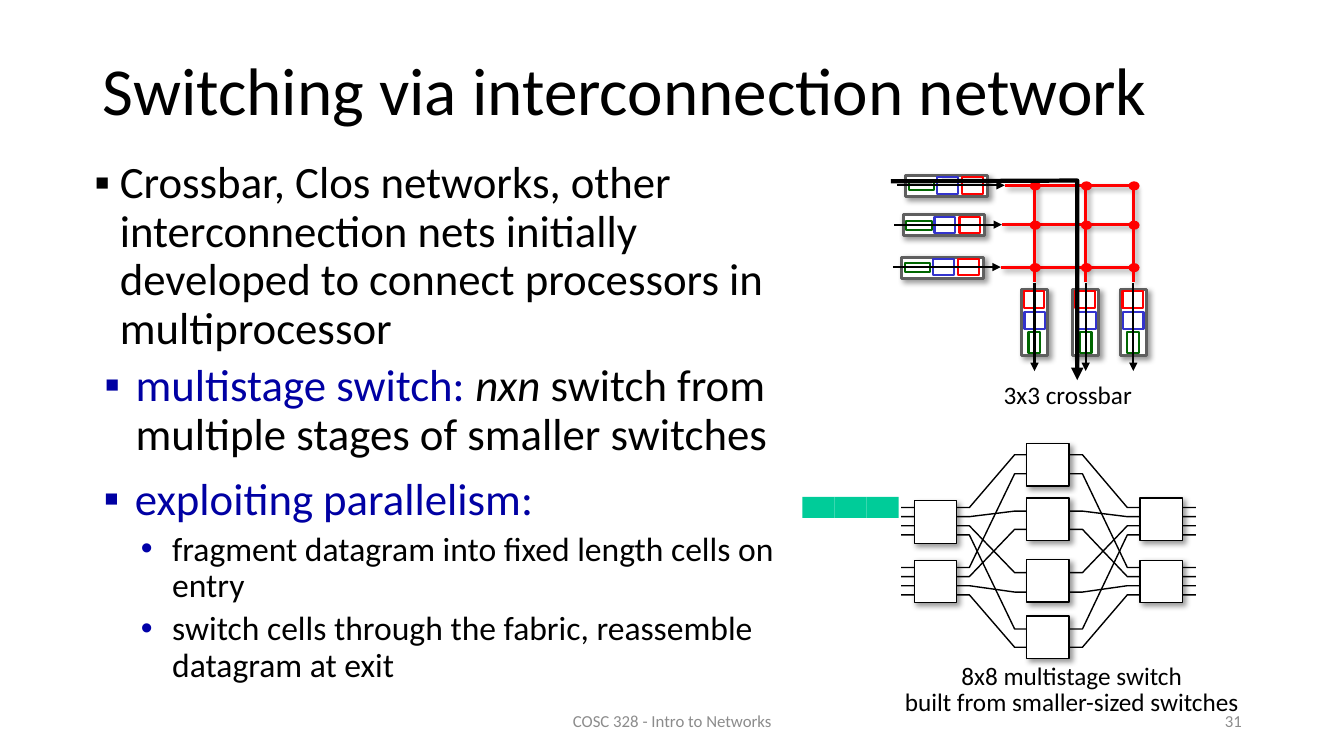
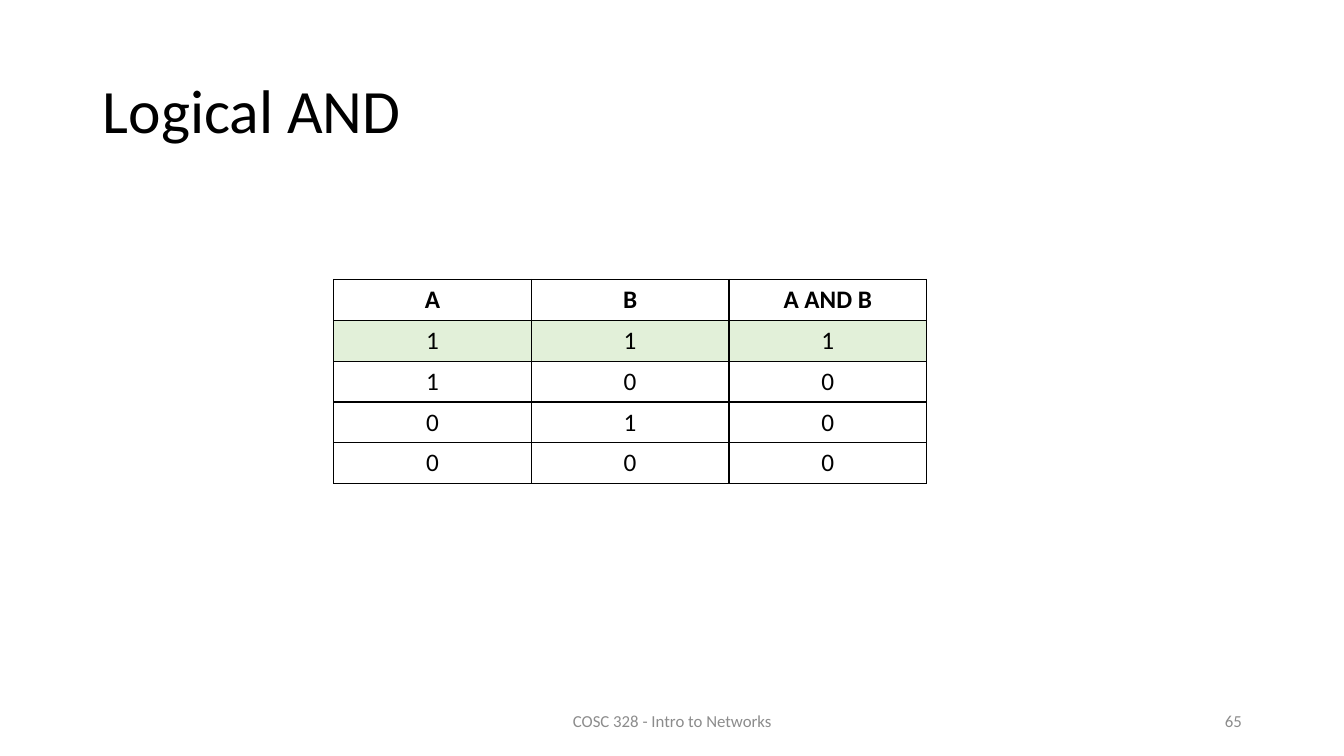
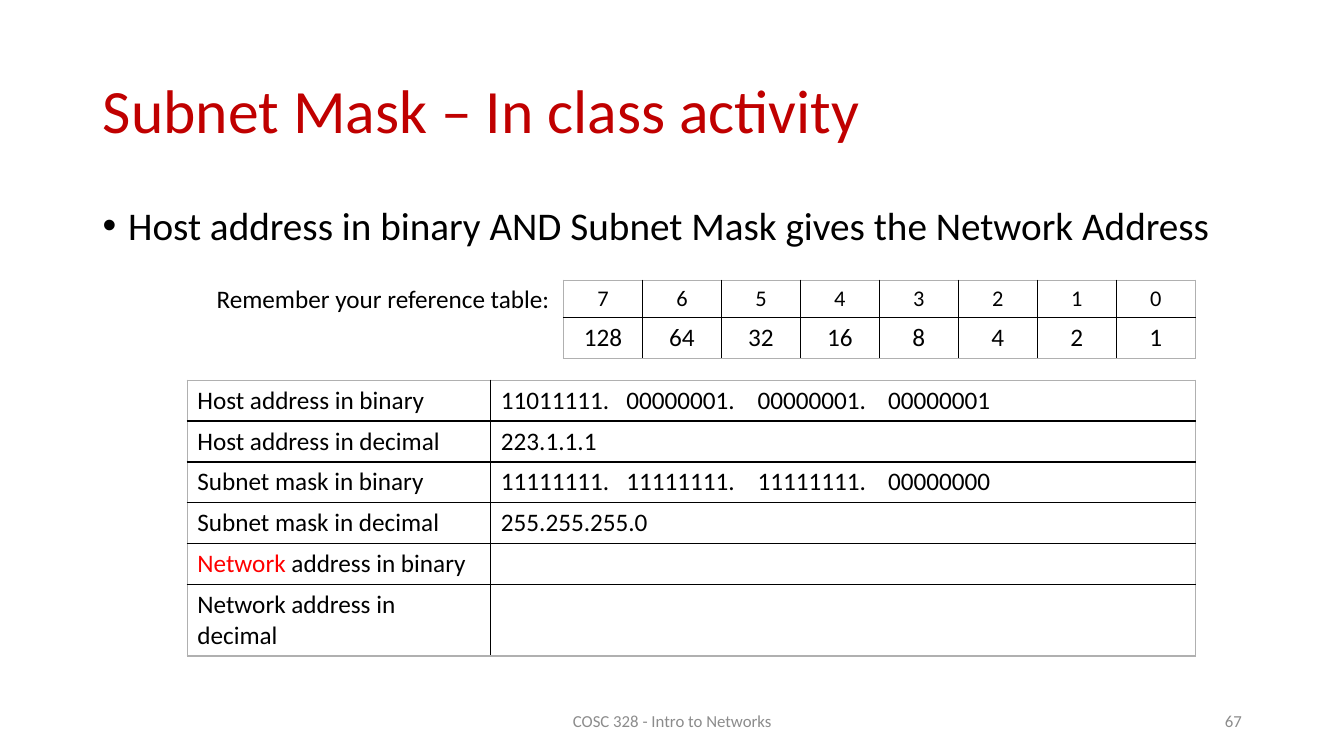
from pptx import Presentation
from pptx.dml.color import RGBColor
from pptx.enum.shapes import MSO_CONNECTOR, MSO_SHAPE
from pptx.enum.text import MSO_ANCHOR, PP_ALIGN
from pptx.oxml import parse_xml
from pptx.oxml.ns import nsdecls, qn
from pptx.util import Cm, Pt

RECTANGLE = MSO_SHAPE.RECTANGLE
ELLIPSE = MSO_SHAPE.OVAL
STRAIGHT = MSO_CONNECTOR.STRAIGHT
MIDDLE = MSO_ANCHOR.MIDDLE
TOP = MSO_ANCHOR.TOP
LEFT, CENTER, RIGHT = PP_ALIGN.LEFT, PP_ALIGN.CENTER, PP_ALIGN.RIGHT

FONT = "Calibri"
FOOTER = "COSC 328 - Intro to Networks"
TITLE_ONLY = 5
COLORS = {
    "black": "000000",
    "white": "FFFFFF",
    "footer": "8C8C8C",
    "frame": "5F5F5F",
    "green": "006600",
    "blue": "3333CC",
    "red": "FF0000",
    "navy": "0000A3",
    "sub_bullet": "0000A8",
    "cell": "00CC99",
    "activity": "C00000",
    "highlight": "E2F0D9",
    "outer_border": "B0B0B0",
}


def rgb(name):
    return RGBColor.from_string(COLORS[name])


def a_element(tag, attributes="", content=""):
    return parse_xml(f'<a:{tag} {nsdecls("a")} {attributes}>{content}</a:{tag}>')


def solid_fill(color):
    return f'<a:solidFill><a:srgbClr val="{COLORS[color]}"/></a:solidFill>'


# Text

def write_text(paragraph, text, size=18, color="black", bold=False, align=LEFT,
               spacing=None, before=0, bullet=None, bullet_color="black",
               margin=0, indent=0, tabs=()):
    """Fill a paragraph; text is a string or a list of (string, run format)."""
    properties = paragraph._p.get_or_add_pPr()
    if bullet:
        properties.set("marL", str(Cm(margin)))
        properties.set("indent", str(Cm(indent)))
        color_value = f'<a:srgbClr val="{COLORS[bullet_color]}"/>'
        properties.append(a_element("buClr", content=color_value))
        properties.append(a_element("buFont", 'typeface="Arial"'))
        properties.append(a_element("buChar", f'char="{bullet}"'))
    if tabs:
        stops = "".join(f'<a:tab pos="{Cm(stop)}" algn="l"/>' for stop in tabs)
        properties.append(a_element("tabLst", content=stops))
    paragraph.alignment = align
    paragraph.space_before = Pt(before)
    if spacing:
        paragraph.line_spacing = spacing
    runs = [(text, {})] if isinstance(text, str) else text
    for content, changes in runs:
        run = paragraph.add_run()
        run.text = content
        run.font.name = FONT
        run.font.size = Pt(size)
        run.font.bold = bold
        run.font.italic = changes.get("italic", False)
        run.font.color.rgb = rgb(changes.get("color", color))


def add_text(slide, box, paragraphs, anchor=TOP, wrap=True, **common):
    """Add a text box; paragraphs is a list of (text, paragraph format)."""
    frame = slide.shapes.add_textbox(*map(Cm, box)).text_frame
    frame.word_wrap = wrap
    frame.vertical_anchor = anchor
    for index, (text, changes) in enumerate(paragraphs):
        paragraph = frame.add_paragraph() if index else frame.paragraphs[0]
        write_text(paragraph, text, **{**common, **changes})


def add_slide(presentation, title, number, top=1.02, height=3.68, **title_format):
    """Add a slide with its title, footer and number."""
    slide = presentation.slides.add_slide(presentation.slide_layouts[TITLE_ONLY])
    shape = slide.shapes.title
    shape.left, shape.top = Cm(2.34), Cm(top)
    shape.width, shape.height = Cm(29.21), Cm(height)
    shape.text_frame.word_wrap = True
    shape.text_frame.vertical_anchor = MIDDLE
    write_text(shape.text_frame.paragraphs[0], title, spacing=0.9,
               **{"size": 44, **title_format})
    for text, left, width, align in ((FOOTER, 11.23, 11.43, CENTER),
                                     (str(number), 23.93, 7.62, RIGHT)):
        add_text(slide, (left, 17.65, width, 1.02), [(text, {})], anchor=MIDDLE,
                 size=12, color="footer", align=align)
    return slide


# Shapes and lines

def set_effects(shape, shadow):
    content = ""
    if shadow:
        content = ('<a:outerShdw blurRad="50800" dist="38100" dir="2700000" '
                   'algn="tl" rotWithShape="0"><a:srgbClr val="000000">'
                   '<a:alpha val="40000"/></a:srgbClr></a:outerShdw>')
    shape.element.spPr.append(a_element("effectLst", content=content))


def style_line(shape, color, width, arrow=False, shadow=False):
    shape.line.color.rgb = rgb(color)
    shape.line.width = Pt(width)
    if arrow:
        outline = shape.element.spPr.find(qn("a:ln"))
        outline.append(a_element("tailEnd", 'type="triangle"'))
    set_effects(shape, shadow)


def add_box(slide, box, line=None, width=1.5, fill="white", kind=RECTANGLE,
            shadow=False):
    shape = slide.shapes.add_shape(kind, *map(Cm, box))
    shape.fill.solid()
    shape.fill.fore_color.rgb = rgb(fill)
    if line:
        style_line(shape, line, width, shadow=shadow)
    else:
        shape.line.fill.background()
        set_effects(shape, shadow)


def add_line(slide, start, end, color="black", width=1.5, **style):
    connector = slide.shapes.add_connector(STRAIGHT, *map(Cm, (*start, *end)))
    style_line(connector, color, width, **style)


def add_path(slide, points, width, arrow=False):
    points = [(Cm(x), Cm(y)) for x, y in points]
    builder = slide.shapes.build_freeform(*points[0], scale=1.0)
    builder.add_line_segments(points[1:], close=False)
    shape = builder.convert_to_shape()
    shape.fill.background()
    style_line(shape, "black", width, arrow=arrow)


# Tables

def set_borders(cell, outer_sides, outer_color):
    properties = cell._tc.get_or_add_tcPr()
    for index, side in enumerate("LRTB"):
        color = outer_color if side in outer_sides else "black"
        properties.insert(index, a_element(
            f"ln{side}", 'w="12700"', solid_fill(color)))


def add_table(slide, left, top, widths, heights, rows, outer="black",
              formats=None, fills=None, **common):
    """Add a bordered table; formats and fills are given by row index."""
    table = slide.shapes.add_table(
        len(rows), len(widths), Cm(left), Cm(top),
        Cm(sum(widths)), Cm(sum(heights))).table
    table.first_row = table.horz_banding = False
    for column, width in zip(table.columns, widths):
        column.width = Cm(width)
    for row, height in zip(table.rows, heights):
        row.height = Cm(height)
    for i, texts in enumerate(rows):
        for j, text in enumerate(texts):
            cell = table.cell(i, j)
            cell.fill.solid()
            cell.fill.fore_color.rgb = rgb((fills or {}).get(i, "white"))
            sides = {"L": j == 0, "R": j == len(widths) - 1,
                     "T": i == 0, "B": i == len(rows) - 1}
            set_borders(cell, [side for side in sides if sides[side]], outer)
            if text:
                write_text(cell.text_frame.paragraphs[0], text,
                           **{**common, **(formats or {}).get(i, {})})


# Switch diagrams

def add_queue(slide, frame, packets, arrow):
    add_box(slide, frame, "frame", 2.25, shadow=True)
    for color, packet in zip(("green", "blue", "red"), packets):
        add_box(slide, packet, color)
    add_line(slide, *arrow, arrow=True)


def add_input_queue(slide, x, y):
    packets = ((x + 0.08, y + 0.15, 0.64, 0.23),
               (x + 0.79, y + 0.05, 0.53, 0.41),
               (x + 1.42, y + 0.05, 0.53, 0.41))
    add_queue(slide, (x, y, 2.06, 0.53), packets,
              ((x - 0.23, y + 0.25), (x + 2.49, y + 0.25)))


def add_output_queue(slide, center, y):
    packets = ((center - 0.15, y + 1.08, 0.3, 0.53),
               (center - 0.25, y + 0.57, 0.51, 0.43),
               (center - 0.27, y + 0.05, 0.51, 0.43))
    add_queue(slide, (center - 0.33, y, 0.66, 1.68), packets,
              ((center, y - 0.15), (center, y + 2.06)))


def add_crossbar(slide):
    inputs = ((22.83, 4.42), (22.76, 5.41), (22.73, 6.48))
    columns = (26.07, 27.36, 28.56)
    for x, y in inputs:
        add_input_queue(slide, x, y)
    for x in reversed(columns):
        add_output_queue(slide, x, 7.29)
    bus = {"color": "red", "width": 2.25, "shadow": True}
    for x, y in inputs:
        add_line(slide, (x + 2.49, y + 0.25), (columns[-1], y + 0.25), **bus)
    for x in columns:
        add_line(slide, (x, 7.11), (x, 4.67), **bus)
    for x in columns:
        for _, y in inputs:
            add_box(slide, (x - 0.12, y + 0.15, 0.28, 0.23), fill="red",
                    kind=ELLIPSE)
    # Route of one packet
    add_path(slide, ((22.45, 4.57), (27.15, 4.55), (27.15, 9.58)), 3, arrow=True)


def add_multistage_switch(slide):
    bends = (22.71, 24.43, 25.57, 27.28, 28.41, 30.14)
    # First port height of each outer switch, and the middle port of each wire
    wires = ((12.79, (11.46, 12.88, 14.43, 15.85)),
             (14.3, (11.94, 13.34, 14.92, 16.31)))
    for first_port, middles in wires:
        for index, middle in enumerate(middles):
            port = first_port + 0.23 * index
            heights = (port, port, middle, middle, port, port)
            add_path(slide, list(zip(bends, heights)), 1)
    stages = ((23.04, (12.62, 14.12)),
              (25.87, (11.18, 12.55, 14.1, 15.52)),
              (28.73, (12.55, 14.12)))
    for x, tops in stages:
        for y in tops:
            add_box(slide, (x, y, 1.07, 1.07), "black", 1, shadow=True)


# Slides

def build_switching(presentation):
    slide = add_slide(presentation, "Switching via interconnection network", 31,
                      top=1.12, height=2.49, size=48)
    point = {"size": 32, "spacing": 0.9, "bullet": "▪", "indent": -0.79}
    blue_point = {**point, "color": "navy", "bullet_color": "navy", "margin": 0.99}
    detail = {"size": 24, "color": "black", "bullet": "•", "margin": 1.93,
              "bullet_color": "sub_bullet", "before": 5}
    add_text(slide, (2.13, 3.91, 17.98, 5), [
        ("Crossbar, Clos networks, other interconnection nets initially "
         "developed to connect processors in multiprocessor", {})],
        margin=0.64, **point)
    add_crossbar(slide)
    add_multistage_switch(slide)
    add_text(slide, (2.18, 9.02, 17.98, 3.05), [
        ([("multistage switch: ", {}),
          ("nxn", {"italic": True, "color": "black"}),
          (" switch from multiple stages of smaller switches",
           {"color": "black"})], {})], **blue_point)
    add_text(slide, (2.16, 11.89, 17.98, 5.89), [
        ("exploiting parallelism:", {}),
        ("fragment datagram into fixed length cells on entry", detail),
        ("switch cells through the fabric, reassemble datagram at exit", detail)],
        **blue_point)
    # Captions
    caption = {"wrap": False, "align": CENTER, "spacing": 0.85}
    add_text(slide, (25.02, 9.55, 3.78, 0.91), [("3x3 crossbar", {})], **caption)
    add_text(slide, (22.5, 16.64, 9.02, 1.57), [
        ("8x8 multistage switch", {}),
        ("built from smaller-sized switches", {})], **caption)
    # Datagram split into cells
    for index in range(3):
        add_box(slide, (20.22 + 0.81 * index, 12.52, 0.81, 0.53), fill="cell")


def build_logical_and(presentation):
    slide = add_slide(presentation, "Logical AND", 65)
    rows = [("A", "B", "A AND B"), "111", "100", "010", "000"]
    add_table(slide, 8.41, 7.04, [4.98] * 3, [1.03] * 5, rows, align=CENTER,
              formats={0: {"bold": True}}, fills={1: "highlight"})


def build_subnet_mask(presentation):
    slide = add_slide(presentation, "Subnet Mask – In class activity", 67,
                      color="activity")
    add_text(slide, (2.34, 5.08, 29.21, 1.5), [
        ("Host address in binary AND Subnet Mask gives the Network Address", {})],
        size=28, spacing=0.9, bullet="•", margin=0.64, indent=-0.64)
    rows = [
        ("Host address in binary", "11011111.\t00000001.\t00000001.\t00000001"),
        ("Host address in decimal", "223.1.1.1"),
        ("Subnet mask in binary", "11111111.\t11111111.\t11111111.\t00000000"),
        ("Subnet mask in decimal", "255.255.255.0"),
        ([("Network", {"color": "red"}), (" address in binary", {})], ""),
        ("Network address in decimal", ""),
    ]
    octets = {"tabs": (3.16, 6.47, 9.76)}
    add_table(slide, 4.72, 9.58, [7.65, 17.75], [1.03] * 5 + [1.8], rows,
              outer="outer_border", formats={0: octets, 2: octets})
    # Powers of two
    exponents = range(7, -1, -1)
    powers = [[str(n) for n in exponents], [str(2 ** n) for n in exponents]]
    add_table(slide, 14.2, 7.06, [1.99] * 8, [0.95, 1.03], powers,
              outer="outer_border", align=CENTER, formats={0: {"size": 16}})
    add_text(slide, (5.21, 7.01, 9.02, 1.02),
             [("Remember your reference table:", {})], wrap=False)


def main():
    presentation = Presentation()
    presentation.slide_width = Cm(33.87)
    presentation.slide_height = Cm(19.05)
    build_switching(presentation)
    build_logical_and(presentation)
    build_subnet_mask(presentation)
    presentation.save("out.pptx")


if __name__ == "__main__":
    main()
